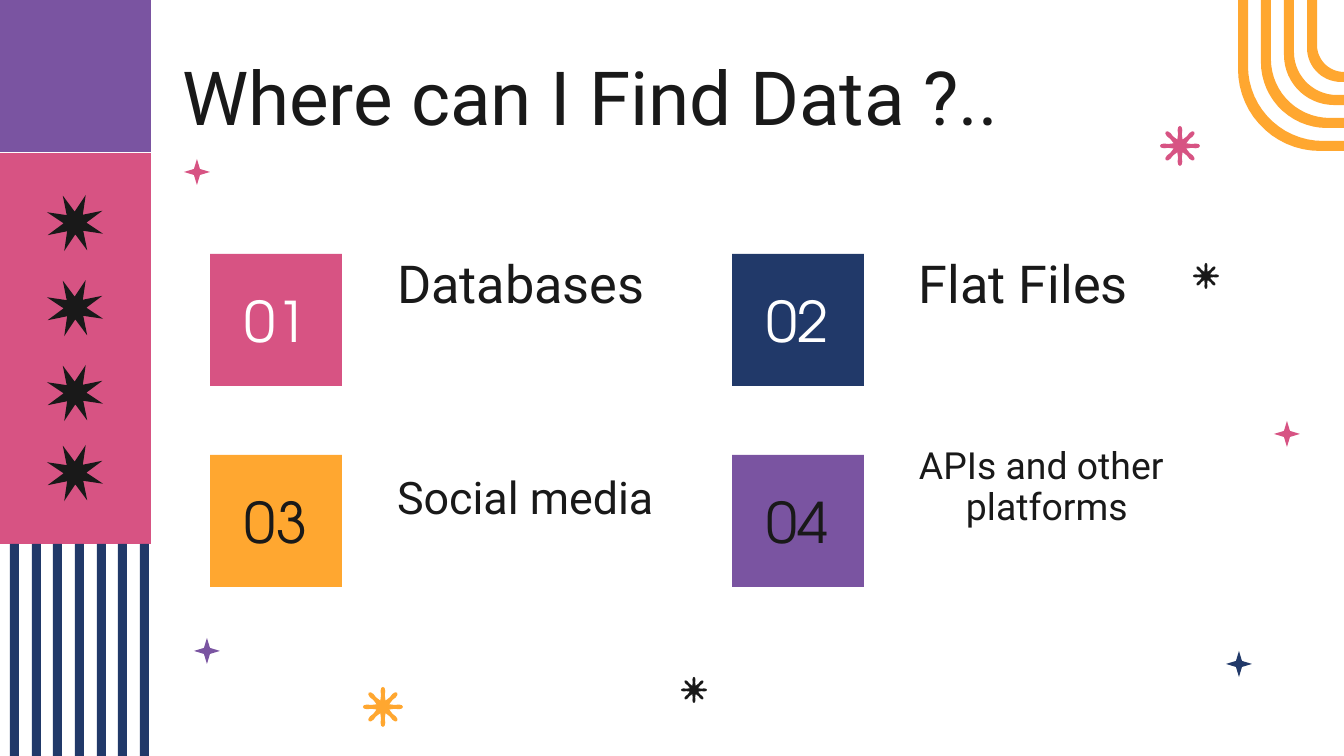
import math
from dataclasses import dataclass
from typing import Callable

import pptx
import pptx.dml.color
import pptx.enum.shapes
import pptx.enum.text
import pptx.util

EMU_PER_PX = 9144000 / 1344
SLIDE_WIDTH, SLIDE_HEIGHT = 1344, 756
INSET = 13
COLORS = {
    "ink": "191919",
    "white": "FFFFFF",
    "pink": "D75383",
    "navy": "213969",
    "orange": "FFA730",
    "purple": "7A54A1",
}
BODY_FONT, NUMBER_FONT = "Roboto", "TeX Gyre Adventor"
Point = tuple[float, float]
MIDDLE = pptx.enum.text.MSO_ANCHOR.MIDDLE
CENTER = pptx.enum.text.PP_ALIGN.CENTER


@dataclass(frozen=True)
class Source:
    number: str
    title: str
    title_size: int
    title_height: int
    fill: str
    number_color: str


@dataclass(frozen=True)
class Ornament:
    outline: Callable[[int], list[Point]]
    x: int
    y: int
    radius: int
    color: str


def px(length: float) -> pptx.util.Emu:
    return pptx.util.Emu(round(length * EMU_PER_PX))


def rgb(color: str) -> pptx.dml.color.RGBColor:
    return pptx.dml.color.RGBColor.from_string(COLORS[color])


def polar(radius: float, degrees: float) -> Point:
    """Point at an angle measured clockwise from straight up."""
    angle = math.radians(degrees)
    return radius * math.sin(angle), -radius * math.cos(angle)


def star(tips: int, outer: float, inner: float, turn: float) -> list[Point]:
    step = 180 / tips
    return [polar(inner if i % 2 else outer, turn + i * step) for i in range(2 * tips)]


def sparkle(radius: int) -> list[Point]:
    return star(4, radius, radius * 0.33, 0)


def burst(radius: int) -> list[Point]:
    return star(8, radius, radius * 0.38, 21)


def flower(radius: int) -> list[Point]:
    """Eight rounded petals, each followed by a notch."""
    petal = [(0.6, -9), (0.8, -8.5), (0.95, -5), (1, 0),
             (0.95, 5), (0.8, 8.5), (0.6, 9), (0.34, 22.5)]
    return [polar(radius * reach, 45 * i + degrees)
            for i in range(8) for reach, degrees in petal]


def bend(left: int, bottom: int, radius: int) -> list[Point]:
    """Quarter turn from heading down to heading right."""
    arc = [polar(radius, 270 - 6 * i) for i in range(16)]
    return [(left + radius + x, bottom - radius + y) for x, y in arc]


def finish(shape, color: str) -> None:
    shape.shadow.inherit = False
    shape.fill.solid()
    shape.fill.fore_color.rgb = rgb(color)
    shape.line.fill.background()


def draw_outline(slide, points: list[Point], color: str) -> None:
    corners = [(px(x), px(y)) for x, y in points]
    builder = slide.shapes.build_freeform(*corners[0])
    builder.add_line_segments(corners[1:])
    finish(builder.convert_to_shape(), color)


def draw_ornament(slide, ornament: Ornament) -> None:
    points = ornament.outline(ornament.radius)
    draw_outline(slide, [(ornament.x + x, ornament.y + y) for x, y in points],
                 ornament.color)


def draw_pipe(slide, index: int) -> None:
    top, right, thickness = -67, 1419, 10
    left, bottom, radius = 1238 + 23 * index, 151 - 23 * index, 82 - 16 * index
    outer = bend(left, bottom, radius)
    inner = bend(left + thickness, bottom - thickness, radius - 7)
    draw_outline(slide, [(left, top), *outer, (right, bottom), (right, bottom - thickness),
                         *reversed(inner), (left + thickness, top)], "orange")


def draw_block(slide, left: int, top: int, width: int, height: int, color: str):
    block = slide.shapes.add_shape(pptx.enum.shapes.MSO_SHAPE.RECTANGLE,
                                   px(left), px(top), px(width), px(height))
    finish(block, color)
    return block


def write(shape, text: str, font: str, size: int, color: str):
    frame = shape.text_frame
    frame.word_wrap = True
    frame.vertical_anchor = MIDDLE
    frame.margin_left = frame.margin_right = px(INSET)
    frame.margin_top = frame.margin_bottom = px(INSET)
    paragraph = frame.paragraphs[0]
    run = paragraph.add_run()
    run.text = text
    run.font.name = font
    run.font.size = pptx.util.Pt(size)
    run.font.color.rgb = rgb(color)
    return paragraph


def draw_text(slide, left: int, top: int, width: int, height: int, text: str, size: int):
    box = slide.shapes.add_textbox(px(left), px(top), px(width), px(height))
    paragraph = write(box, text, BODY_FONT, size, "ink")
    paragraph.line_spacing = 0.9
    return paragraph


def draw_source(slide, source: Source, left: int, top: int) -> None:
    tile = draw_block(slide, left, top, 132, 132, source.fill)
    write(tile, source.number, NUMBER_FONT, 30, source.number_color).alignment = CENTER
    title = draw_text(slide, left + 154, top, 308, source.title_height,
                      source.title, source.title_size)
    properties = title._p.get_or_add_pPr()
    properties.set("marL", str(px(67)))
    properties.set("indent", str(px(-47)))


SOURCES = [
    Source("01", "Databases", 28, 66, "pink", "white"),
    Source("02", "Flat Files", 28, 66, "navy", "white"),
    Source("03", "Social media", 24, 90, "orange", "ink"),
    Source("04", "APIs and other platforms", 20, 66, "purple", "ink"),
]
ORNAMENTS = [
    Ornament(flower, 694, 690, 13, "ink"),
    Ornament(sparkle, 1287, 434, 13, "pink"),
    Ornament(sparkle, 1239, 664, 13, "navy"),
    Ornament(flower, 383, 707, 20, "orange"),
    Ornament(flower, 1206, 276, 13, "ink"),
    Ornament(flower, 1180, 146, 20, "pink"),
    Ornament(sparkle, 207, 651, 13, "purple"),
    Ornament(sparkle, 197, 172, 13, "pink"),
    *(Ornament(burst, 75, y, 30, "ink") for y in (223, 308, 393, 473)),
]


def main() -> None:
    deck = pptx.Presentation()
    deck.slide_width, deck.slide_height = px(SLIDE_WIDTH), px(SLIDE_HEIGHT)
    slide = deck.slides.add_slide(deck.slide_layouts[6])

    for index in range(4):
        draw_pipe(slide, index)

    draw_text(slide, 169, 43, 1005, 116, "Where can I Find Data ?..", 40)
    for index, source in enumerate(SOURCES):
        row, column = divmod(index, 2)
        draw_source(slide, source, 210 + 522 * column, 254 + 201 * row)

    draw_block(slide, 0, 0, 151, 152, "purple")
    draw_block(slide, 0, 153, 151, 391, "pink")
    for index in range(7):
        draw_block(slide, round(10 + 21.7 * index), 544, 9, 212, "navy")
    for ornament in ORNAMENTS:
        draw_ornament(slide, ornament)

    deck.save("out.pptx")


if __name__ == "__main__":
    main()
